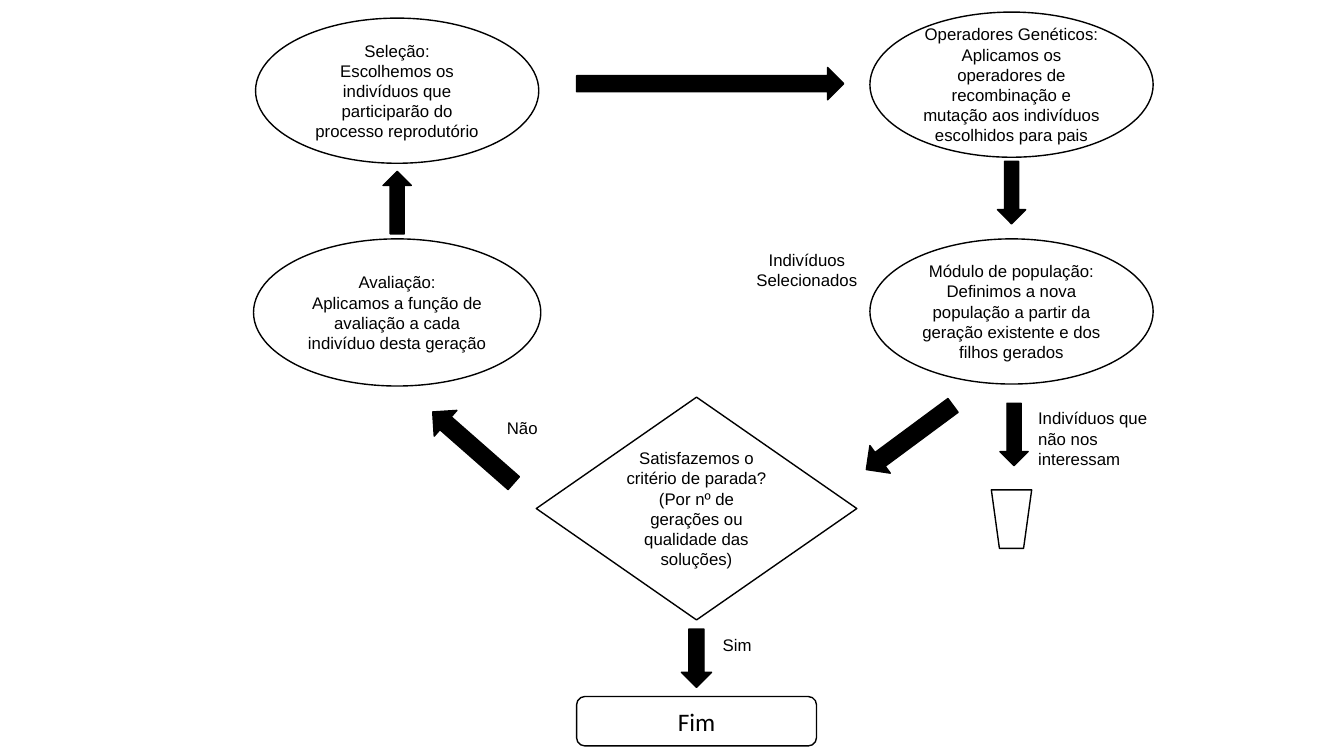
from pptx import Presentation
from pptx.dml.color import RGBColor
from pptx.enum.shapes import MSO_SHAPE
from pptx.enum.text import MSO_ANCHOR, PP_ALIGN
from pptx.util import Inches, Pt

CELL = 0.1
COLUMNS, ROWS = 133.33, 75
BLACK, WHITE = "000000", "FFFFFF"
LEFT_AXIS, MIDDLE_AXIS, RIGHT_AXIS = 39.4, 69.1, 100.35
ELLIPSE = (28.1, 14.4)
SHORT_ARROW = (2.8, 6.2)
SLANTED_ARROW = (10.7, 3.4)


def cells(count):
    return Inches(count * CELL)


def color(value):
    return RGBColor.from_string(value)


def frame(center, extent):
    (x, y), (width, height) = center, extent
    return [cells(n) for n in (x - width / 2, y - height / 2, width, height)]


def write(box, text, align, size=12, font="Arial", wrap=True):
    text_frame = box.text_frame
    text_frame.word_wrap = wrap
    text_frame.text = text
    for para in text_frame.paragraphs:
        para.alignment = align
        para.font.size = Pt(size)
        para.font.name = font
        para.font.color.rgb = color(BLACK)


def add_outline(page, kind, center, extent, fill=WHITE):
    shape = page.shapes.add_shape(kind, *frame(center, extent))
    shape.shadow.inherit = False
    shape.fill.solid()
    shape.fill.fore_color.rgb = color(fill)
    shape.line.color.rgb = color(BLACK)
    shape.line.width = Pt(1)
    return shape


def add_step(page, kind, center, extent, text, **style):
    shape = add_outline(page, kind, center, extent)
    shape.text_frame.vertical_anchor = MSO_ANCHOR.MIDDLE
    write(shape, text, PP_ALIGN.CENTER, **style)


def add_arrow(page, kind, center, extent=SHORT_ARROW, rotation=0):
    add_outline(page, kind, center, extent, BLACK).rotation = rotation


def add_label(page, center, extent, text, align=PP_ALIGN.LEFT, wrap=True):
    box = page.shapes.add_textbox(*frame(center, extent))
    write(box, text, align, wrap=wrap)


def main():
    deck = Presentation()
    deck.slide_width, deck.slide_height = cells(COLUMNS), cells(ROWS)
    page = deck.slides.add_slide(deck.slide_layouts[6])

    add_step(page, MSO_SHAPE.OVAL, (LEFT_AXIS, 31), (28.5, 14.6),
             "Avaliação:\nAplicamos a função de avaliação a cada indivíduo desta geração")
    add_step(page, MSO_SHAPE.OVAL, (RIGHT_AXIS, 30.9), ELLIPSE,
             "Módulo de população:\nDefinimos a nova população a partir da "
             "geração existente e dos filhos gerados")
    add_step(page, MSO_SHAPE.OVAL, (RIGHT_AXIS, 8.4), ELLIPSE,
             "Operadores Genéticos:\vAplicamos os operadores de recombinação e "
             "mutação aos indivíduos escolhidos para pais")
    add_step(page, MSO_SHAPE.OVAL, (LEFT_AXIS, 9), ELLIPSE,
             "Seleção:\nEscolhemos os indivíduos que participarão do processo reprodutório")
    add_step(page, MSO_SHAPE.DIAMOND, (MIDDLE_AXIS, 50.45), (31.8, 22.1),
             "Satisfazemos o critério de parada? "
             "(Por nº de gerações ou qualidade das soluções)")
    add_step(page, MSO_SHAPE.ROUNDED_RECTANGLE, (MIDDLE_AXIS, 71.55), (23.8, 4.9),
             "Fim", size=18, font="Calibri")

    add_arrow(page, MSO_SHAPE.RIGHT_ARROW, (70.45, 8.3), (26.5, 3.2))
    add_arrow(page, MSO_SHAPE.DOWN_ARROW, (100.6, 43.1))
    add_arrow(page, MSO_SHAPE.LEFT_ARROW, (90.25, 43.4), SLANTED_ARROW, 323.5)
    add_arrow(page, MSO_SHAPE.LEFT_ARROW, (46.95, 44.4), SLANTED_ARROW, 41.3)
    add_arrow(page, MSO_SHAPE.DOWN_ARROW, (MIDDLE_AXIS, 65.3), (3, 5.8))
    add_arrow(page, MSO_SHAPE.DOWN_ARROW, (RIGHT_AXIS, 19.1))
    add_arrow(page, MSO_SHAPE.UP_ARROW, (LEFT_AXIS, 20.1))

    add_label(page, (51.85, 42.5), (5.1, 3), "Não", wrap=False)
    add_label(page, (73.8, 64), (6.2, 3), "Sim")
    add_label(page, (80.05, 26.8), (12.9, 5), "Indivíduos\nSelecionados", PP_ALIGN.CENTER)
    add_label(page, (110.1, 43.55), (16.2, 7.1), "Indivíduos que \vnão nos interessam")
    add_outline(page, MSO_SHAPE.FLOWCHART_MANUAL_OPERATION, (RIGHT_AXIS, 51.5), (4, 5.8))

    deck.save("out.pptx")


if __name__ == "__main__":
    main()
